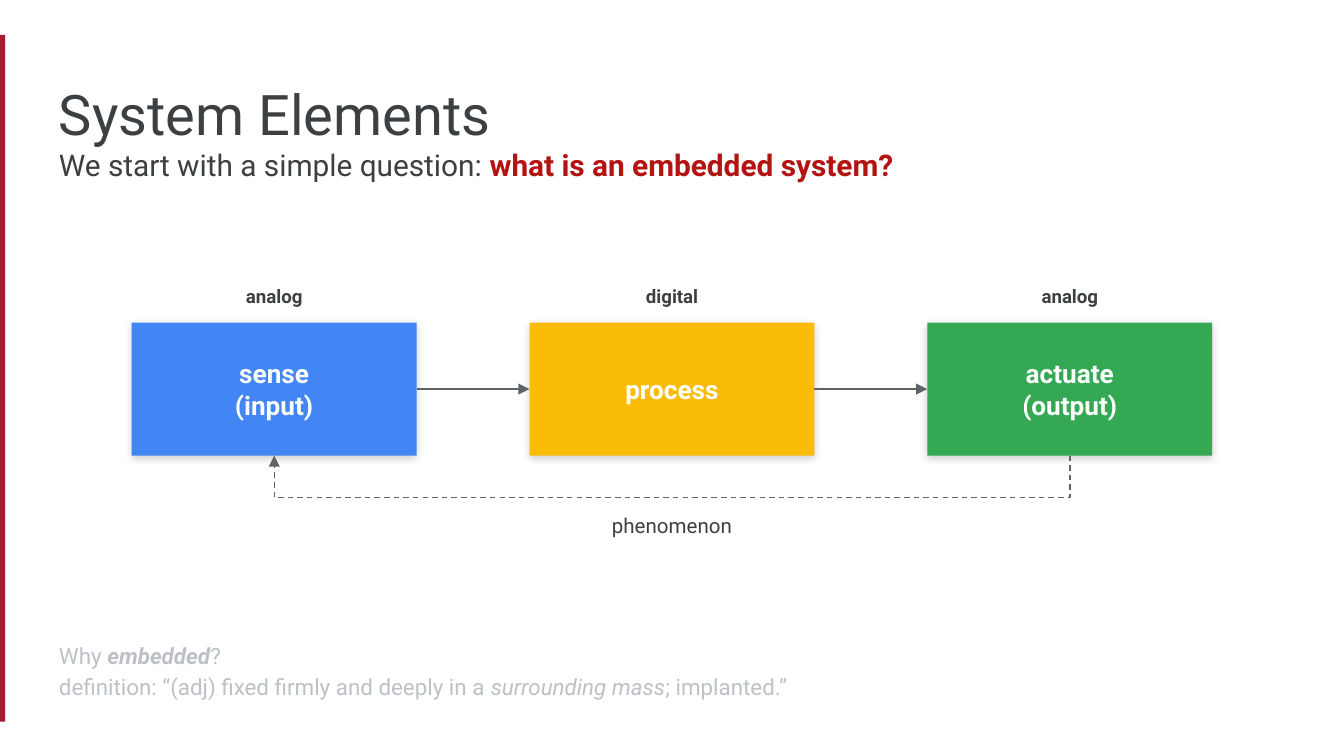
from lxml import etree
from pptx import Presentation
from pptx.dml.color import RGBColor
from pptx.enum.dml import MSO_LINE
from pptx.enum.shapes import MSO_CONNECTOR, MSO_SHAPE
from pptx.enum.text import MSO_ANCHOR, PP_ALIGN
from pptx.oxml.ns import qn
from pptx.util import Emu, Inches, Pt

RECT = MSO_SHAPE.RECTANGLE
LINE, ELBOW = MSO_CONNECTOR.STRAIGHT, MSO_CONNECTOR.ELBOW
DASH = MSO_LINE.DASH
LEFT, MID = PP_ALIGN.LEFT, PP_ALIGN.CENTER
TOP, CENTER = MSO_ANCHOR.TOP, MSO_ANCHOR.MIDDLE

# Content: a paragraph is a list of (text, format) runs
HEX = {"bar": "A51C30", "ink": "3C4043", "red": "B31412", "pale": "BDC1C6",
       "wire": "5F6368", "white": "FFFFFF",
       "blue": "4285F4", "gold": "FBBC05", "green": "34A853"}
STAGES = [("analog", ["sense", "(input)"], "blue"),
          ("digital", ["process"], "gold"),
          ("analog", ["actuate", "(output)"], "green")]
TITLE = [[("System Elements", {})]]
ASK = [[("We start with a simple question: ", {}),
        ("what is an embedded system?", {"bold": True, "color": "red"})]]
WHY = [[("Why ", {}), ("embedded", {"bold": True, "italic": True}),
        ("?\vdefinition: “(adj) fixed firmly and deeply in a ", {}),
        ("surrounding mass", {"italic": True}), ("; implanted.”", {})]]
LOOP = [[("phenomenon", {})]]

# Grid, in inches, on a 16:9 slide
WIDE = 10
HIGH = WIDE * 9 / 16
EDGE, SPAN = 0.34, 9.32
BOX_W, BOX_H, GAP, ROW = 2.12, 0.99, 0.84, 2.4
TAG_H, DROP = 0.4, 0.26
START = (WIDE - 3 * BOX_W - 2 * GAP) / 2
COLS = [START + i * (BOX_W + GAP) for i in range(3)]

deck = Presentation()
deck.slide_width, deck.slide_height = Inches(WIDE), Inches(HIGH)
slide = deck.slides.add_slide(deck.slide_layouts[6])
shapes = slide.shapes


def rgb(name):
    return RGBColor.from_string(HEX[name])


def write(shape, paras, size, color="ink", align=LEFT, anchor=TOP, bold=False):
    frame = shape.text_frame
    frame.word_wrap, frame.vertical_anchor = True, anchor
    for side in ("left", "right", "top", "bottom"):
        setattr(frame, "margin_" + side, Inches(0.1))
    for i, runs in enumerate(paras):
        para = frame.add_paragraph() if i else frame.paragraphs[0]
        para.alignment = align
        for text, extra in runs:
            form = {"name": "Roboto", "size": Pt(size), "bold": bold,
                    "italic": False, "color": color, **extra}
            for j, part in enumerate(text.split("\v")):
                if j:
                    para.add_line_break()
                run = para.add_run()
                run.text = part
                for key, value in form.items():
                    if key == "color":
                        run.font.color.rgb = rgb(value)
                    else:
                        setattr(run.font, key, value)
    return frame


def label(x, y, w, h, paras, size, **form):
    box = shapes.add_textbox(*map(Inches, (x, y, w, h)))
    return write(box, paras, size, **form)


def block(x, y, w, h, color):
    box = shapes.add_shape(RECT, *map(Inches, (x, y, w, h)))
    box.shadow.inherit = False
    box.fill.solid()
    box.fill.fore_color.rgb = rgb(color)
    box.line.fill.background()
    return box


def shade(box):
    glow = etree.SubElement(box._element.spPr.find(qn("a:effectLst")),
                            qn("a:outerShdw"), blurRad=str(Pt(4.5)),
                            dist=str(Pt(1.5)), dir="5400000",
                            algn="bl", rotWithShape="0")
    tint = etree.SubElement(glow, qn("a:srgbClr"), val="000000")
    etree.SubElement(tint, qn("a:alpha"), val="20000")


def arrow(kind, x1, y1, x2, y2):
    wire = shapes.add_connector(kind, x1, y1, x2, y2)
    wire.line.color.rgb = rgb("wire")
    wire.line.width = Pt(0.75)
    etree.SubElement(wire.line._get_or_add_ln(), qn("a:tailEnd"),
                     type="triangle")
    etree.SubElement(wire._element.spPr, qn("a:effectLst"))
    return wire


# Side bar and heading
block(-0.02, 0.26, 0.06, 5.11, "bar")
label(EDGE, 0.49, SPAN, 0.63, TITLE, 30)
label(EDGE, 0.99, 6.82, 0.79, ASK, 16)

# Stages with their tags
boxes = []
for x, (tag, lines, color) in zip(COLS, STAGES):
    box = block(x, ROW, BOX_W, BOX_H, color)
    shade(box)
    write(box, [[(line, {})] for line in lines], 14, color="white",
          align=MID, anchor=CENTER, bold=True)
    label(x, ROW - TAG_H, BOX_W, TAG_H, [[(tag, {})]], 10,
          align=MID, anchor=CENTER, bold=True)
    boxes.append(box)

# Arrows from stage to stage
for a, b in zip(boxes, boxes[1:]):
    wire = arrow(LINE, 0, 0, 0, 0)
    wire.begin_connect(a, 3)
    wire.end_connect(b, 1)

# Feedback loop: a thin elbow turned a quarter, its bend set by the drop
thin = Emu(600)
half = Inches((COLS[2] - COLS[0]) / 2)
mid, base = Inches(WIDE / 2), Inches(ROW + BOX_H)
loop = arrow(ELBOW, mid, base - half, mid + thin, base + half)
loop.line.dash_style = DASH
geom = loop._element.spPr
geom.find(qn("a:xfrm")).set("rot", "5400000")
bend = geom.find(qn("a:prstGeom")).find(qn("a:avLst"))
etree.SubElement(bend, qn("a:gd"), name="adj1",
                 fmla=f"val {round(Inches(DROP) / thin * 100000)}")
label(COLS[1], 3.71, BOX_W, TAG_H, LOOP, 11, align=MID, anchor=CENTER)

# Definition
note = label(EDGE, 4.65, SPAN, 0.7, WHY, 12, color="pale")
note.paragraphs[0].line_spacing = 1.15

deck.save("out.pptx")
